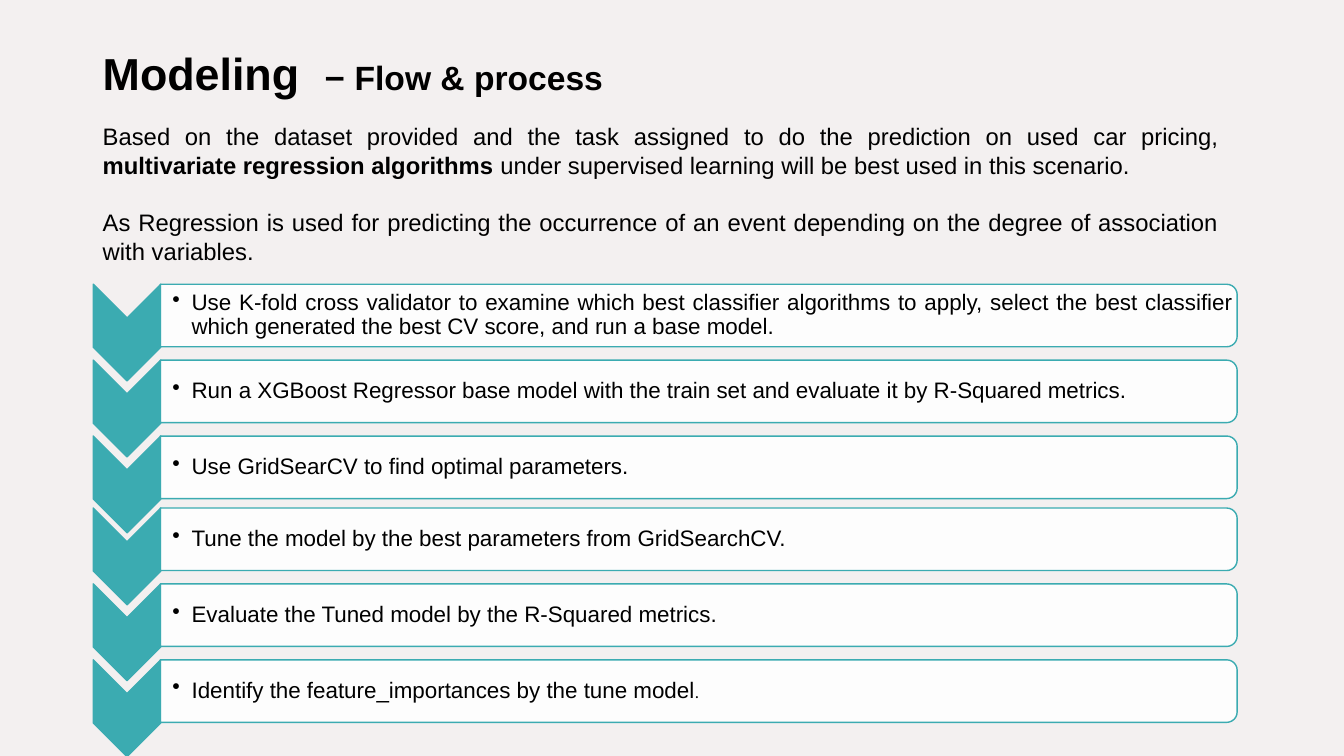
from lxml import etree
from pptx import Presentation
from pptx.dml.color import RGBColor
from pptx.enum.shapes import MSO_SHAPE
from pptx.enum.text import MSO_ANCHOR, PP_ALIGN
from pptx.oxml.ns import qn
from pptx.util import Inches, Pt

CHEVRON = MSO_SHAPE.CHEVRON
PANEL = MSO_SHAPE.ROUND_2_SAME_RECTANGLE
TOP, MIDDLE = MSO_ANCHOR.TOP, MSO_ANCHOR.MIDDLE
LEFT, JUSTIFY = PP_ALIGN.LEFT, PP_ALIGN.JUSTIFY

TEAL, WHITE, BLACK, PAPER = "3BABB1", "FFFFFF", "000000", "F3F0F0"
FONT = "Arial"
CJK_SC, CJK_JP = "Noto Sans CJK SC", "Noto Sans CJK JP"
PITCH, PANEL_H = 0.753, 0.62

TITLE = [
    ("Modeling  ", {"size": 32, "bold": True}),
    ("– ", {"size": 28, "bold": True, "font": CJK_SC}),
    ("Flow & process", {"size": 24, "bold": True}),
]
INTRO = [
    [
        ("Based on the dataset provided and the task assigned to do the "
         "prediction on used car pricing, ", {}),
        ("multivariate regression algorithms", {"bold": True}),
        (" under supervised learning will be best used in this scenario.", {}),
    ],
    [
        ("As Regression is used for predicting the occurrence of an event "
         "depending on the degree of association with variables.", {}),
    ],
]
GROUPS = [
    (2.82, [
        ([("Use K-fold cross validator to examine which best classifier "
           "algorithms to apply, select the best classifier which generated "
           "the best CV score, and run a base model.", {})], JUSTIFY),
        ([("Run a XGBoost Regressor base model with the train set and "
           "evaluate it by R-Squared metrics.", {})], JUSTIFY),
        ([("Use GridSearCV to find optimal parameters.", {})], LEFT),
    ]),
    (5.04, [
        ([("Tune the model by the best parameters from GridSearchCV.", {})],
         LEFT),
        ([("Evaluate the Tuned model by the R-Squared metrics.", {})], LEFT),
        ([("Identify the feature_importances by the tune model", {}),
          (".", {"size": 11, "font": CJK_JP})], LEFT),
    ]),
]


def color(code):
    return RGBColor.from_string(code)


def add_run(para, text, size=16, bold=False, font=FONT):
    run = para.add_run()
    run.text = text
    run.font.size = Pt(size)
    run.font.bold = bold
    run.font.name = font
    run.font.color.rgb = color(BLACK)


def add_bullet(para):
    props = para._p.get_or_add_pPr()
    props.set("marL", str(Inches(0.19)))
    props.set("indent", str(-Inches(0.19)))
    etree.SubElement(props, qn("a:buChar")).set("char", "•")


def add_text(slide, box, paras, size=16, align=LEFT, anchor=TOP,
             insets=(0.1, 0.05, 0.1, 0.05), spacing=None, gap=0,
             bullet=False):
    shape = slide.shapes.add_textbox(*map(Inches, box))
    frame = shape.text_frame
    frame.word_wrap = True
    frame.vertical_anchor = anchor
    (frame.margin_left, frame.margin_top,
     frame.margin_right, frame.margin_bottom) = map(Inches, insets)
    for index, runs in enumerate(paras):
        para = frame.add_paragraph() if index else frame.paragraphs[0]
        para.alignment = align
        if spacing:
            para.line_spacing = spacing
        if index:
            para.space_before = Pt(gap)
        if bullet:
            add_bullet(para)
        for text, style in runs:
            add_run(para, text, **{"size": size, **style})


def add_turned(slide, kind, center, width, height, fill, alpha=None):
    x, y = center
    shape = slide.shapes.add_shape(
        kind, Inches(x - width / 2), Inches(y - height / 2),
        Inches(width), Inches(height))
    shape.rotation = 90
    shape.shadow.inherit = False
    shape.fill.solid()
    shape.fill.fore_color.rgb = color(fill)
    shape.line.color.rgb = color(TEAL)
    shape.line.width = Pt(1)
    if alpha:
        tint = shape._element.spPr.find(qn("a:solidFill"))[0]
        etree.SubElement(tint, qn("a:alpha")).set("val", str(alpha * 1000))


def add_step(slide, top, runs, align):
    add_turned(slide, CHEVRON, (1.26, top + 0.48), 0.96, 0.67, TEAL)
    add_turned(slide, PANEL, (6.93, top + PANEL_H / 2), PANEL_H, 10.68,
               WHITE, alpha=90)
    add_text(slide, (1.59, top + 0.03, 10.65, 0.56), [runs], align=align,
             anchor=MIDDLE, insets=(0.12, 0.01, 0.01, 0.01), spacing=0.9,
             bullet=True)


def main():
    deck = Presentation()
    deck.slide_width, deck.slide_height = Inches(13.33), Inches(7.5)
    slide = deck.slides.add_slide(deck.slide_layouts[6])
    slide.background.fill.solid()
    slide.background.fill.fore_color.rgb = color(PAPER)
    add_text(slide, (0.92, 0.4, 7.31, 0.64), [TITLE])
    add_text(slide, (0.92, 1.16, 11.27, 1.53), INTRO, size=17, align=JUSTIFY,
             spacing=Pt(20.5), gap=20.5)
    for start, steps in GROUPS:
        for index, (runs, align) in enumerate(steps):
            add_step(slide, start + index * PITCH, runs, align)
    deck.save("out.pptx")


if __name__ == "__main__":
    main()
